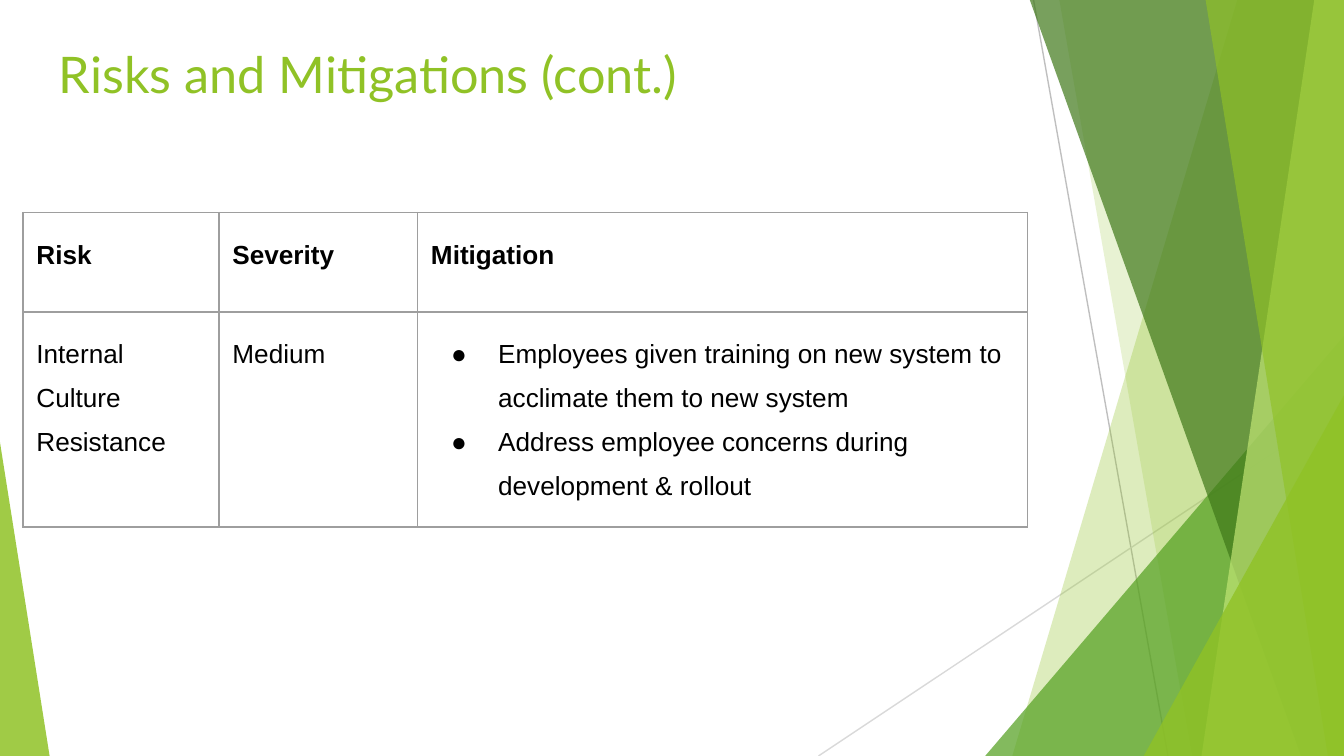
from pptx import Presentation
from pptx.dml.color import RGBColor
from pptx.enum.shapes import MSO_CONNECTOR as Conn, MSO_SHAPE as Shape
from pptx.enum.text import MSO_ANCHOR as Anchor
from pptx.oxml.ns import qn
from pptx.util import Pt
from lxml.etree import SubElement as Sub

WIDE, HIGH = 720, 405
TOP = -0.6
INSET = 7.2
GREEN = "90C226"


def tint(part, code):
    part.rgb = RGBColor.from_string(code)


def paint(shape, code, alpha):
    """Flat fill, alpha in percent, with no line and no shadow."""
    shape.shadow.inherit = False
    shape.line.fill.background()
    shape.fill.solid()
    tint(shape.fill.fore_color, code)
    clr = shape.fill._xPr.find(qn("a:solidFill"))[0]
    Sub(clr, qn("a:alpha"), val=str(alpha * 1000))


def add_line(slide, ends, code):
    line = slide.shapes.add_connector(Conn.STRAIGHT, *map(Pt, ends))
    line.line.width = Pt(0.75)
    tint(line.line.color, code)
    Sub(line._element.spPr, qn("a:effectLst"))


def add_band(slide, head, foot, code, alpha):
    """Band from a slanted left edge to the right side of the slide."""
    build = slide.shapes.build_freeform(Pt(head), Pt(TOP))
    rest = [(WIDE, TOP), (WIDE, HIGH), (foot, HIGH)]
    build.add_line_segments([(Pt(x), Pt(y)) for x, y in rest], close=True)
    paint(build.convert_to_shape(), code, alpha)


def add_wedge(slide, left, top, width, peak, code, alpha):
    """Triangle standing on the bottom edge of the slide."""
    box = map(Pt, (left, top, width, HIGH - top))
    wedge = slide.shapes.add_shape(Shape.ISOSCELES_TRIANGLE, *box)
    wedge.adjustments[0] = peak
    paint(wedge, code, alpha)


def set_inset(part):
    part.margin_left = part.margin_right = Pt(INSET)
    part.margin_top = part.margin_bottom = Pt(INSET)


def set_font(para, name, size, code, bold=False):
    font = para.font
    font.name, font.size, font.bold = name, Pt(size), bold
    tint(font.color, code)


def add_title(slide, text):
    box = slide.shapes.add_textbox(Pt(24.5), Pt(15.8), Pt(671), Pt(54.7))
    frame = box.text_frame
    frame.word_wrap = True
    frame.vertical_anchor = Anchor.TOP
    set_inset(frame)
    frame.text = text
    set_font(frame.paragraphs[0], "Lato", 27, GREEN)


def add_bullet(para):
    props = para._p.get_or_add_pPr()
    props.set("marL", str(Pt(36)))
    props.set("indent", str(Pt(-25.2)))
    clr = Sub(props, qn("a:buClr"))
    Sub(clr, qn("a:srgbClr"), val="000000")
    Sub(props, qn("a:buFont"), typeface="Arial")
    Sub(props, qn("a:buChar"), char="●")


def add_border(cell, code):
    props = cell._tc.get_or_add_tcPr()
    for side in ("lnL", "lnR", "lnT", "lnB"):
        edge = Sub(props, qn("a:" + side), w=str(Pt(0.75)))
        fill = Sub(edge, qn("a:solidFill"))
        Sub(fill, qn("a:srgbClr"), val=code)


def fill_cell(cell, text, bold, bullet):
    set_inset(cell)
    add_border(cell, "9E9E9E")
    cell.fill.background()
    cell.text = text
    for para in cell.text_frame.paragraphs:
        para.line_spacing = 1.5
        if bullet:
            add_bullet(para)
        set_font(para, "Arial", 14, "000000", bold)


def add_grid(slide, rows, wides, highs):
    box = map(Pt, (12.3, 113.8, sum(wides), sum(highs)))
    grid = slide.shapes.add_table(len(rows), len(wides), *box).table
    grid.first_row = grid.horz_banding = False
    for col, wide in zip(grid.columns, wides):
        col.width = Pt(wide)
    for r, row in enumerate(rows):
        grid.rows[r].height = Pt(highs[r])
        for c, text in enumerate(row):
            fill_cell(grid.cell(r, c), text, r == 0, r > 0 and c == 2)


def main():
    prs = Presentation()
    prs.slide_width, prs.slide_height = Pt(WIDE), Pt(HIGH)
    slide = prs.slides.add_slide(prs.slide_layouts[6])

    # Facets behind the content, back to front
    add_line(slide, (553.7, 0, 625.7, HIGH), "BFBFBF")
    add_line(slide, (WIDE, 217.4, 438.5, HIGH), "D9D9D9")
    add_band(slide, 663, 542.3, GREEN, 30)
    add_band(slide, 567.4, 638.6, GREEN, 20)
    add_wedge(slide, 527.8, 180, 192.2, 1, "54A021", 72)
    add_band(slide, 551.5, 697, "3F7819", 70)
    add_band(slide, 704.2, 643.7, "C0E474", 70)
    add_band(slide, 645.8, 711.4, GREEN, 65)
    add_wedge(slide, 612.7, 211.7, 107.3, 1, GREEN, 80)
    add_wedge(slide, 0, 236.9, 26.6, 0, GREEN, 85)

    # Title and risk table
    add_title(slide, "Risks and Mitigations (cont.)")
    rows = [
        ("Risk", "Severity", "Mitigation"),
        ("Internal Culture Resistance", "Medium",
         "Employees given training on new system to acclimate them "
         "to new system\n"
         "Address employee concerns during development & rollout"),
    ]
    add_grid(slide, rows, (105, 106.4, 326.9), (53.3, 86.4))

    prs.save("out.pptx")


if __name__ == "__main__":
    main()
